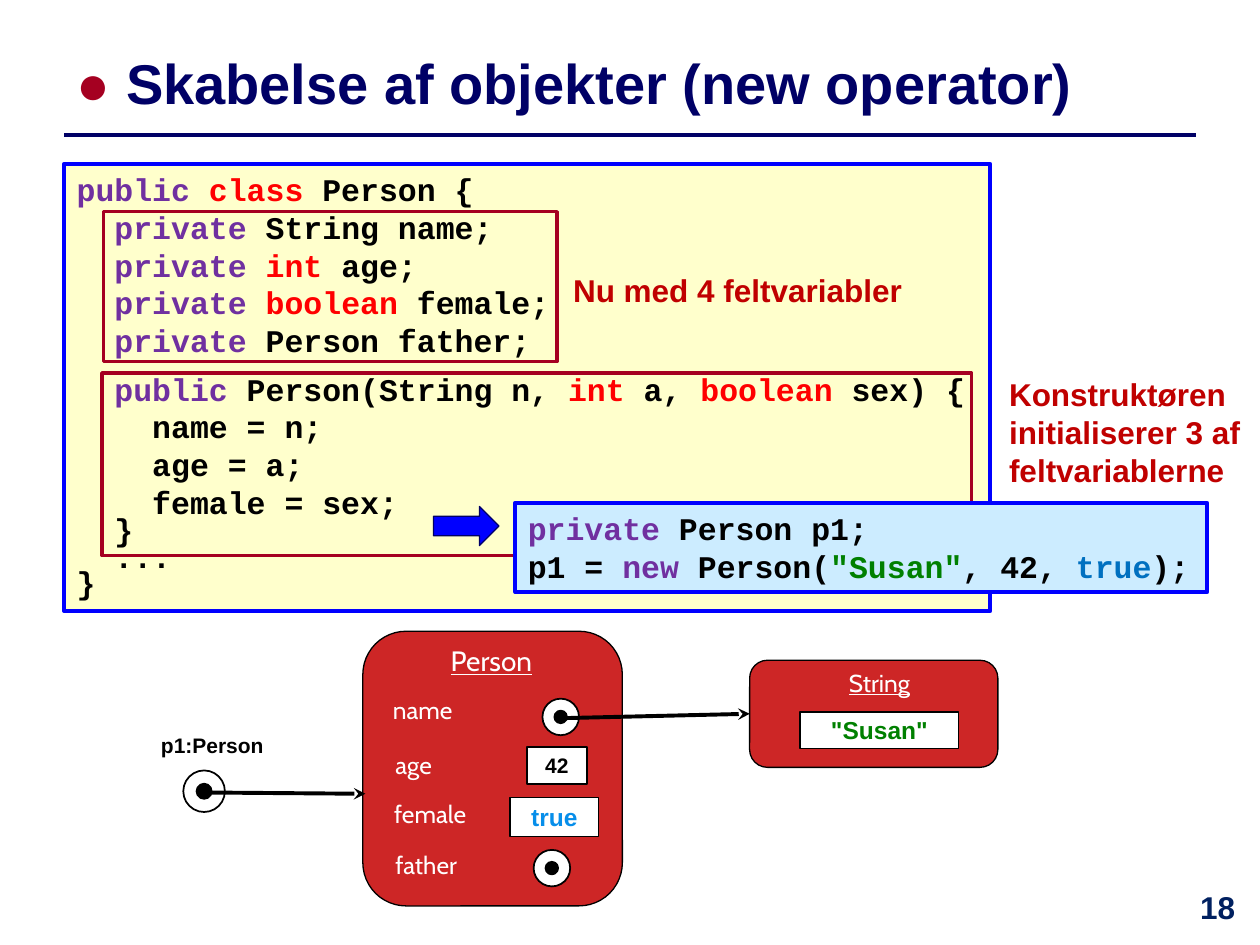
from lxml import etree
from pptx import Presentation
from pptx.dml.color import RGBColor
from pptx.enum.shapes import MSO_CONNECTOR, MSO_SHAPE
from pptx.enum.text import MSO_ANCHOR, PP_ALIGN
from pptx.oxml.ns import qn
from pptx.util import Inches, Pt

RECT, ROUNDED = MSO_SHAPE.RECTANGLE, MSO_SHAPE.ROUNDED_RECTANGLE
OVAL, RIGHT_ARROW = MSO_SHAPE.OVAL, MSO_SHAPE.RIGHT_ARROW
STRAIGHT = MSO_CONNECTOR.STRAIGHT
LEFT, CENTER = PP_ALIGN.LEFT, PP_ALIGN.CENTER
TOP, MIDDLE = MSO_ANCHOR.TOP, MSO_ANCHOR.MIDDLE
LEFT_SIDE = 1

BLACK, WHITE, NAVY, BLUE = "000000", "FFFFFF", "000066", "0000FF"
DARK_RED, NOTE_RED, OBJECT_RED = "A50021", "C00000", "CD2626"
PURPLE, RED, GREEN = "7030A0", "FF0000", "008000"

prs = Presentation()
prs.slide_width, prs.slide_height = Inches(10), Inches(7.5)
slide = prs.slides.add_slide(prs.slide_layouts[6])


def draw(box, kind=None, fill=None, line=None, width=1):
    """Add a preset shape, or a text box when no kind is given."""
    place = [Inches(v) for v in box]
    if kind is None:
        return slide.shapes.add_textbox(*place)
    shape = slide.shapes.add_shape(kind, *place)
    shape.shadow.inherit = False
    if fill:
        shape.fill.solid()
        shape.fill.fore_color.rgb = RGBColor.from_string(fill)
    else:
        shape.fill.background()
    if line:
        shape.line.color.rgb = RGBColor.from_string(line)
        shape.line.width = Pt(width)
    else:
        shape.line.fill.background()
    return shape


def write(shape, text, size=18, font="Arial", color=BLACK, bold=True,
          underline=None, align=LEFT, anchor=TOP, wrap=True):
    """Text is a string, or a list of lines made of (text, colour) runs."""
    frame = shape.text_frame
    frame.word_wrap = wrap
    frame.vertical_anchor = anchor
    lines = [[(text, color)]] if isinstance(text, str) else text
    for i, pieces in enumerate(lines):
        paragraph = frame.add_paragraph() if i else frame.paragraphs[0]
        paragraph.alignment = align
        for words, run_color in pieces:
            run = paragraph.add_run()
            run.text = words
            run.font.name, run.font.size = font, Pt(size)
            run.font.bold, run.font.underline = bold, underline
            run.font.color.rgb = RGBColor.from_string(run_color)
    return frame


# Title and page number
title = [[("●", DARK_RED), (" Skabelse af objekter (new operator)", NAVY)]]
write(draw((0.51, 0.28, 9.49, 0.75)), title, size=32, anchor=MIDDLE)
write(draw((9.33, 7, 0.67, 0.5)), "18", color="002060", align=CENTER, wrap=False)

# Class code
person_code = [
    [("public ", PURPLE), ("class ", RED), ("Person {", BLACK)],
    [("  private", PURPLE), (" String name;", BLACK)],
    [("  private ", PURPLE), ("int ", RED), ("age;", BLACK)],
    [("  private ", PURPLE), ("boolean ", RED), ("female;", BLACK)],
    [("  private", PURPLE), (" Person father;", BLACK)],
    [("  public", PURPLE), (" Person(String n, ", BLACK), ("int ", RED),
     ("a, ", BLACK), ("boolean ", RED), ("sex) {", BLACK)],
    [("    name = n;", BLACK)],
    [("    age = a;", BLACK)],
    [("    female = sex;", BLACK)],
    [("  }", BLACK)],
    [("  ...", BLACK)],
    [("}", BLACK)],
]
class_box = draw((0.51, 1.3, 7.35, 3.55), RECT, "FFFFCC", BLUE, 2.25)
code_lines = write(class_box, person_code, font="Courier New").paragraphs
code_lines[5].space_before = Pt(6)
for closing_line in code_lines[9:]:
    closing_line.line_spacing = 0.7

# Variable p1
write(draw((1.03, 5.74, 1.31, 0.34), RECT, WHITE), "p1:Person", size=12,
      align=CENTER, anchor=MIDDLE, wrap=False)

# Person and String objects
person = draw((2.88, 5.01, 2.06, 2.18), ROUNDED, OBJECT_RED, BLACK, 0.75)
string = draw((5.95, 5.24, 1.97, 0.85), ROUNDED, OBJECT_RED, BLACK, 0.75)
write(draw((3.41, 5.06, 0.98, 0.37)), "Person", size=16, font="Cabin",
      color=WHITE, bold=False, underline=True, align=CENTER)
write(draw((6.27, 5.25, 1.42, 0.26)), "String", size=14, font="Cabin",
      color=WHITE, bold=False, underline=True, align=CENTER)
for field, left, top in [("name", 3.02, 5.47), ("age", 3.04, 5.9),
                         ("female", 3.03, 6.29), ("father", 3.04, 6.7)]:
    write(draw((left, top, 1.13, 0.33)), field, size=14, font="Cabin",
          color=WHITE, bold=False)

# Values held by the objects
for value, box, size, color, width in [
    ('"Susan"', (6.35, 5.65, 1.26, 0.29), 14, GREEN, 0.75),
    ("42", (4.18, 5.93, 0.48, 0.29), 12, BLACK, 1),
    ("true", (4.05, 6.33, 0.7, 0.31), 14, "068EEA", 1),
]:
    write(draw(box, RECT, WHITE, BLACK, width), value, size=size, color=color,
          align=CENTER, anchor=MIDDLE, wrap=False)

# Reference markers: p1, name, father
for x, y, ring, dot in [(1.62, 6.28, 0.33, 0.12), (4.45, 5.69, 0.29, 0.1),
                        (4.38, 6.89, 0.29, 0.1)]:
    for diameter, fill in [(ring, WHITE), (dot, BLACK)]:
        draw((x - diameter / 2, y - diameter / 2, diameter, diameter),
             OVAL, fill, BLACK)

# Title rule and reference arrows
for x1, y1, x2, y2, color, width, target, has_head in [
    (0.51, 1.07, 9.49, 1.07, NAVY, 2, None, False),
    (1.65, 6.29, 2.9, 6.3, BLACK, 2.25, None, True),
    (4.45, 5.7, 5.95, 5.68, BLACK, 2.25, string, True),
]:
    link = slide.shapes.add_connector(
        STRAIGHT, Inches(x1), Inches(y1), Inches(x2), Inches(y2))
    if target:
        link.end_connect(target, LEFT_SIDE)
    link.line.color.rgb = RGBColor.from_string(color)
    link.line.width = Pt(width)
    if has_head:
        etree.SubElement(link.line._get_or_add_ln(), qn("a:tailEnd"), type="stealth")
    etree.SubElement(link._element.spPr, qn("a:effectLst"))

# Frames round the fields and the constructor, with notes
for box in [(0.82, 1.68, 3.6, 1.19), (0.81, 2.96, 6.9, 1.45)]:
    draw(box, RECT, line=DARK_RED, width=2)
for note, box in [
    ("Nu med 4 feltvariabler", (4.45, 2.1, 2.83, 0.39)),
    ("Konstruktøren initialiserer 3 af feltvariablerne", (7.91, 2.93, 2.11, 1.01)),
]:
    write(draw(box), note, color=NOTE_RED)

# Call of the constructor
draw((3.44, 4.02, 0.52, 0.31), RIGHT_ARROW, BLUE, NAVY, 0.75)
call_code = [
    [("private ", PURPLE), ("Person p1;", BLACK)],
    [("p1 = ", BLACK), ("new", PURPLE), (" Person(", BLACK), ('"Susan"', GREEN),
     (", 42, ", BLACK), ("true", "0070C0"), (");", BLACK)],
]
call_box = draw((4.09, 3.99, 5.49, 0.71), RECT, "CCECFF", BLUE, 2.25)
write(call_box, call_code, font="Courier New")

prs.save("out.pptx")
